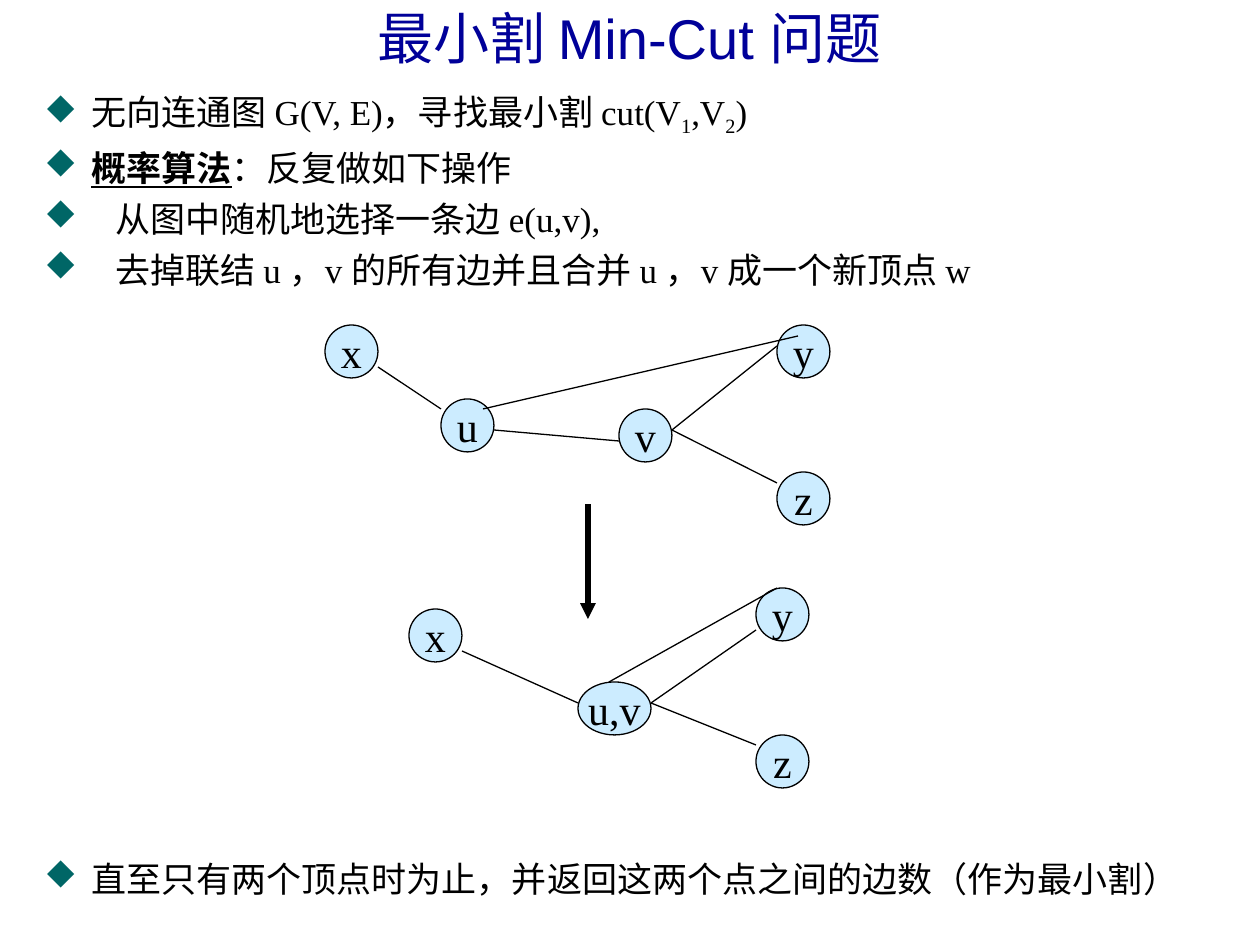
from lxml import etree
from pptx import Presentation
from pptx.dml.color import RGBColor
from pptx.enum.shapes import MSO_CONNECTOR, MSO_SHAPE
from pptx.enum.text import MSO_ANCHOR, PP_ALIGN
from pptx.oxml.ns import qn
from pptx.util import Pt

PX = 914400 / 126
THEME = {
    "title": RGBColor.from_string("000099"),
    "text": RGBColor.from_string("000000"),
    "node": RGBColor.from_string("CCECFF"),
    "bullet": "006666",
    "sans": "Arial", "serif": "Times New Roman", "symbols": "Wingdings",
    "title_size": Pt(32), "body_size": Pt(20), "node_size": Pt(24),
}


def px(*lengths):
    return [round(length * PX) for length in lengths]


def style(font, size, color, name):
    font.size, font.name, font.color.rgb = size, name, color


presentation = Presentation()
presentation.slide_width, presentation.slide_height = px(1260, 945)
slide = presentation.slides.add_slide(presentation.slide_layouts[6])

# Title
title = slide.shapes.add_textbox(*px(94, 0, 1071, 74)).text_frame
title.word_wrap = True
title.vertical_anchor = MSO_ANCHOR.MIDDLE
paragraph = title.paragraphs[0]
paragraph.text = "最小割 Min-Cut 问题"
paragraph.alignment = PP_ALIGN.CENTER
style(paragraph.font, THEME["title_size"], THEME["title"], THEME["sans"])

# Bulleted text: box top, box height, then (text indent, font, runs) per paragraph
SERIF, SANS = THEME["serif"], THEME["sans"]
bullet_boxes = [
    (84, 220, [
        (47, SERIF, [("无向连通图 ", ""), ("G(V, E)，寻找最小割 cut(V", ""), ("1", "sub"),
                     (",V", ""), ("2", "sub"), (")", "")]),
        (47, SERIF, [("概率算法", "strong"), ("：反复做如下操作", "")]),
        (71, SERIF, [("从图中随机地选择一条边 e(u,v),", "")]),
        (71, SERIF, [("去掉联结 u ，v 的所有边并且合并 u ，v 成一个新顶点 w", "")]),
    ]),
    (851, 60, [
        (47, SANS, [("直至只有两个顶点时为止，并返回这两个点之间的边数（作为最小割）", "")]),
    ]),
]
for top, height, items in bullet_boxes:
    frame = slide.shapes.add_textbox(*px(32, top, 1197, height)).text_frame
    frame.word_wrap = True
    for index, (indent, font_name, runs) in enumerate(items):
        paragraph = frame.add_paragraph() if index else frame.paragraphs[0]
        paragraph.space_before = Pt(5)
        properties = paragraph._p.get_or_add_pPr()
        properties.set("marL", str(px(indent)[0]))
        properties.set("indent", str(-px(indent)[0]))
        bullet_color = etree.SubElement(properties, qn("a:buClr"))
        etree.SubElement(bullet_color, qn("a:srgbClr"), val=THEME["bullet"])
        etree.SubElement(properties, qn("a:buSzPct"), val="95000")
        # The letter u is the solid diamond in the symbol font
        etree.SubElement(properties, qn("a:buFont"), typeface=THEME["symbols"],
                         pitchFamily="2", charset="2")
        etree.SubElement(properties, qn("a:buChar"), char="u")
        style(paragraph.font, THEME["body_size"], THEME["text"], font_name)
        for text, kind in runs:
            run = paragraph.add_run()
            run.text = text
            if kind == "strong":
                run.font.bold = run.font.underline = True
            elif kind == "sub":
                run.font._element.set("baseline", "-25000")

# Graph nodes before and after merging u and v: label, left, top, width
nodes = [
    ("x", 325, 325, 53), ("u", 441, 399, 53), ("y", 777, 325, 53),
    ("v", 619, 409, 53), ("z", 777, 472, 53),
    ("u,v", 578, 682, 73), ("x", 409, 609, 53), ("y", 756, 588, 53), ("z", 756, 735, 53),
]
for label, left, top, width in nodes:
    node = slide.shapes.add_shape(MSO_SHAPE.OVAL, *px(left, top, width, 53))
    node.shadow.inherit = False
    node.fill.solid()
    node.fill.fore_color.rgb = THEME["node"]
    node.line.color.rgb = THEME["text"]
    node.line.width = Pt(0.75)
    frame = node.text_frame
    frame.word_wrap = False
    frame.vertical_anchor = MSO_ANCHOR.MIDDLE
    paragraph = frame.paragraphs[0]
    paragraph.text = label
    paragraph.alignment = PP_ALIGN.CENTER
    style(paragraph.font, THEME["node_size"], THEME["text"], SERIF)

# Graph edges and the thick arrow between the two graphs
arrow = (588, 504, 588, 619)
edges = [
    (378, 367, 441, 409), (494, 430, 619, 441), (777, 346, 672, 430),
    (672, 430, 777, 483), (483, 409, 798, 336),
    (756, 630, 651, 703), (651, 703, 756, 745), (609, 682, 777, 588), (462, 651, 578, 703),
]
for ends in edges + [arrow]:
    connector = slide.shapes.add_connector(MSO_CONNECTOR.STRAIGHT, *px(*ends))
    connector.line.color.rgb = THEME["text"]
    connector.line.width = Pt(3 if ends == arrow else 0.75)
    if ends == arrow:
        etree.SubElement(connector.line._get_or_add_ln(), qn("a:tailEnd"), type="triangle")
    etree.SubElement(connector._element.spPr, qn("a:effectLst"))

presentation.save("out.pptx")
